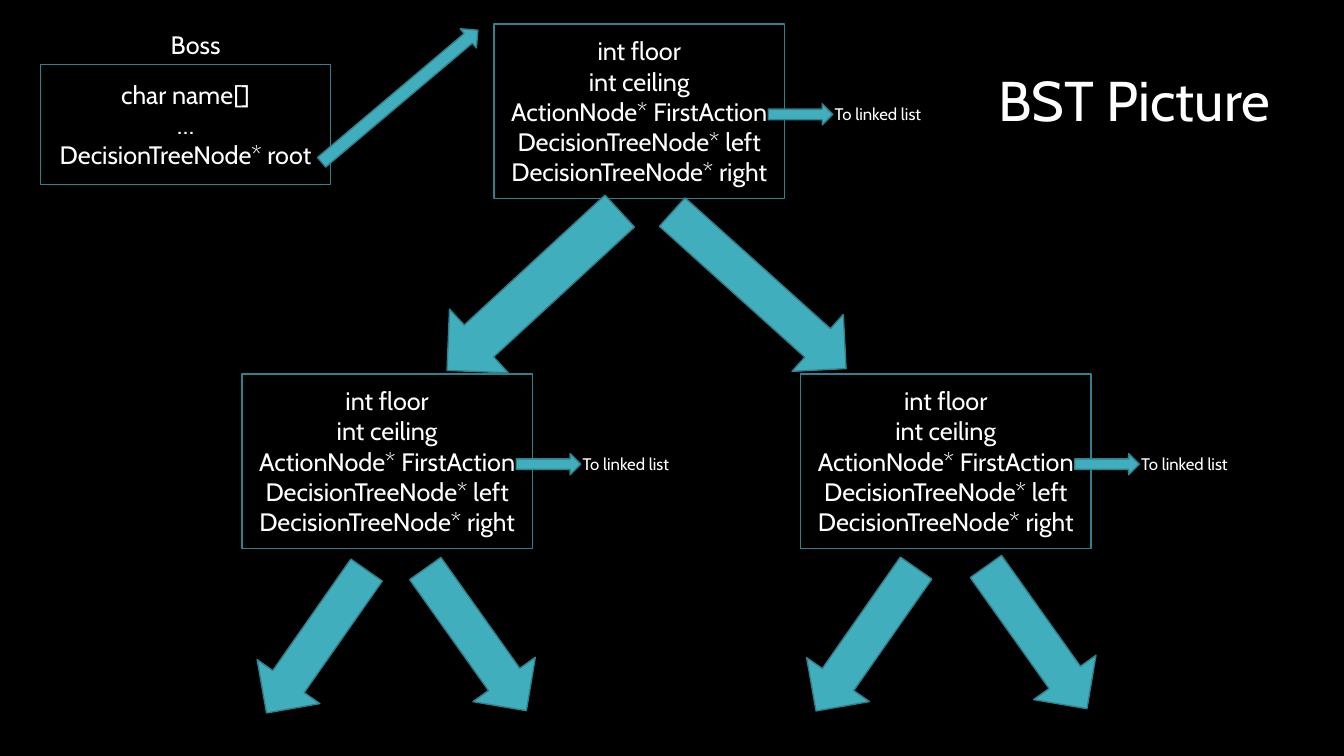
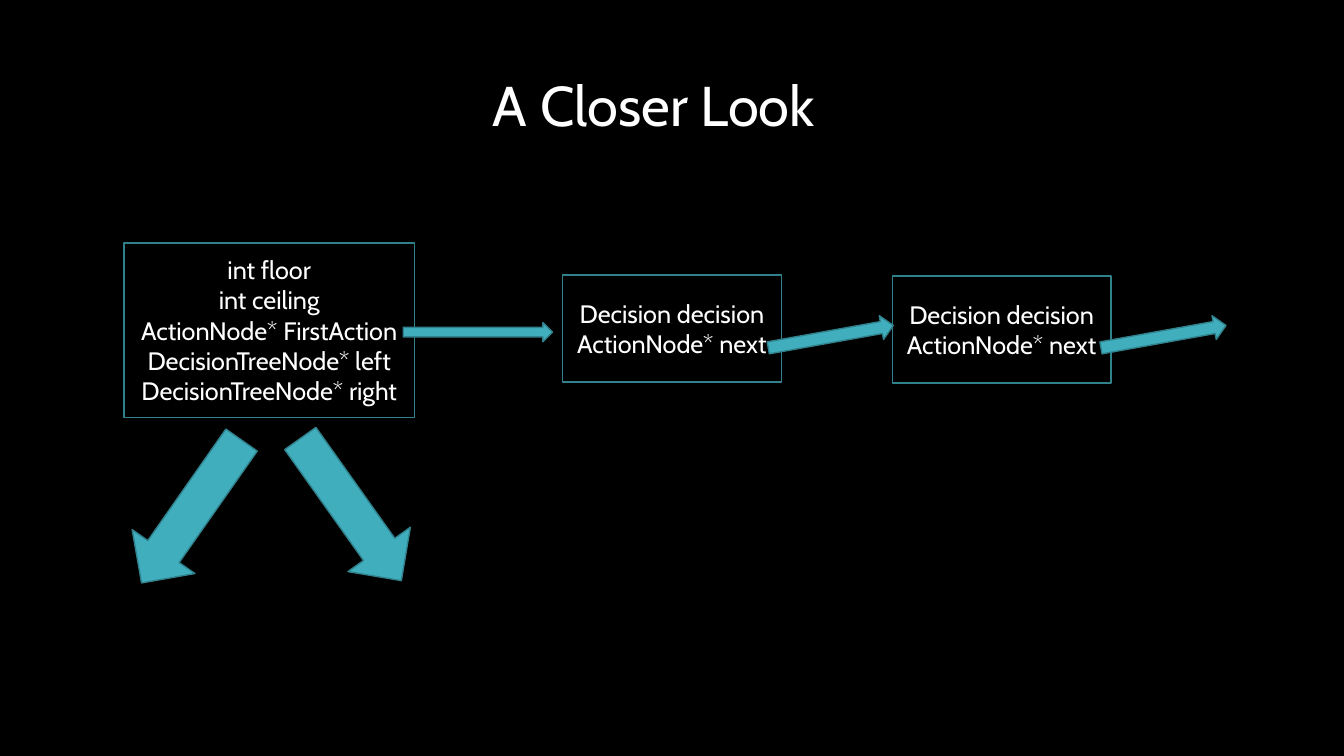
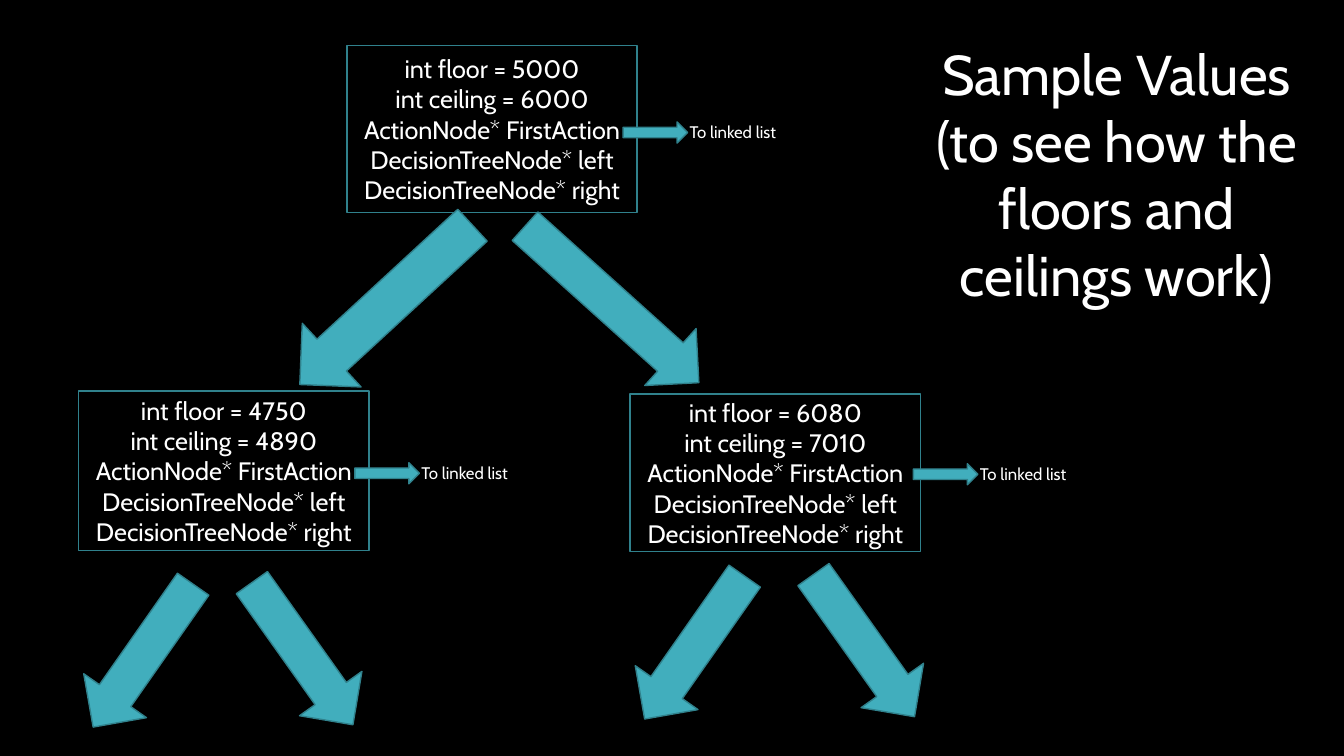
"""Build three slides on a decision tree whose nodes hold linked lists."""
from pptx import Presentation, util as u
from pptx.dml.color import RGBColor
from pptx.enum import shapes, text

FONT, WHITE, BLACK, TEAL, EDGE = "Cabin", "FFFFFF", "000000", "41AEBD", "30818C"
RECT, DOWN, RIGHT = (shapes.MSO_SHAPE.RECTANGLE, shapes.MSO_SHAPE.DOWN_ARROW,
                     shapes.MSO_SHAPE.RIGHT_ARROW)
LEFT, MID = text.PP_ALIGN.LEFT, text.PP_ALIGN.CENTER
WIDE = 2.88
LINKS = "ActionNode* FirstAction\nDecisionTreeNode* left\nDecisionTreeNode* right"
NODE = "int floor\nint ceiling\n" + LINKS
VALUES = "int floor = {}\nint ceiling = {}\n" + LINKS
ACTION = "Decision decision\nActionNode* next"

deck = [
    {
        "title": ("BST Picture", 9.68, 0.6, 3.14, 0.77),
        "notes": [("Boss", 0.98, 0.24, 1.92, 0.4)],
        "boxes": [
            ("char name[]\n…\nDecisionTreeNode* root", 0.4, 0.64, WIDE, 1.19),
            (NODE, 4.9, 0.24, WIDE, 1.73),
            (NODE, 2.4, 3.71, WIDE, 1.73),
            (NODE, 7.94, 3.71, WIDE, 1.73),
        ],
        "roots": [(4.86, 1.72)],
        "forks": [(2.76, 5.5, 1.58), (8.21, 5.48, 1.69)],
        "hooks": [(7.62, 1.03), (5.12, 4.5), (10.66, 4.5)],
        "links": [(2.95, 0.83, 2.03, 0.25, 319.8)],
    },
    {
        "title": ("A Closer Look", 4.12, 0.65, 4.73, 0.77),
        "notes": [],
        "boxes": [
            (NODE, 1.23, 2.41, WIDE, 1.73),
            (ACTION, 5.58, 2.73, 2.17, 1.06),
            (ACTION, 8.85, 2.74, 2.17, 1.06),
        ],
        "roots": [],
        "forks": [(1.52, 4.21, 1.58)],
        "hooks": [],
        "links": [
            (4, 3.2, 1.48, 0.19, 0),
            (7.61, 3.22, 1.26, 0.24, 349.8),
            (10.91, 3.22, 1.26, 0.24, 349.8),
        ],
    },
    {
        "title": ("Sample Values (to see how the floors and ceilings work)",
                  9.14, 0.34, 3.87, 2.79),
        "notes": [],
        "boxes": [
            (VALUES.format(5000, 6000), 3.44, 0.45, WIDE, 1.66),
            (VALUES.format(4750, 4890), 0.78, 3.88, WIDE, 1.58),
            (VALUES.format(6080, 7010), 6.25, 3.91, WIDE, 1.56),
        ],
        "roots": [(3.4, 1.86)],
        "forks": [(1.04, 5.64, 1.58), (6.51, 5.56, 1.68)],
        "hooks": [(6.18, 1.21), (3.52, 4.59), (9.06, 4.6)],
        "links": [],
    },
]


def draw(slide, kind, at, turn=0, fill=None):
    """Add a teal-edged shape, or a text box when kind is None."""
    place = [u.Inches(n) for n in at]
    if kind is None:
        return slide.shapes.add_textbox(*place)
    shape = slide.shapes.add_shape(kind, *place)
    shape.shadow.inherit = False
    shape.rotation = turn
    if fill:
        shape.fill.solid()
        shape.fill.fore_color.rgb = RGBColor.from_string(fill)
    else:
        shape.fill.background()
    shape.line.color.rgb = RGBColor.from_string(EDGE)
    shape.line.width = u.Pt(1)
    return shape


def write(shape, words, size=18, align=MID):
    """Put white text into a shape, one paragraph a line."""
    frame = shape.text_frame
    frame.text = words
    frame.word_wrap = True
    for para in frame.paragraphs:
        para.alignment = align
        for run in para.runs:
            run.font.name = FONT
            run.font.size = u.Pt(size)
            run.font.color.rgb = RGBColor.from_string(WHITE)


prs = Presentation()
prs.slide_width, prs.slide_height = u.Inches(13.33), u.Inches(7.5)
back = prs.slide_master.background.fill
back.solid()
back.fore_color.rgb = RGBColor.from_string(BLACK)

for page in deck:
    slide = prs.slides.add_slide(prs.slide_layouts[6])
    words, *at = page["title"]
    write(draw(slide, None, at), words, 40)
    for words, *at in page["notes"]:
        write(draw(slide, None, at), words)
    for words, *at in page["boxes"]:
        box = draw(slide, RECT, at)
        write(box, words)
        box.text_frame.vertical_anchor = text.MSO_ANCHOR.MIDDLE
    for x, y in page["roots"]:
        draw(slide, DOWN, (x, y, 0.86, 2.33), 47.3, TEAL)
        draw(slide, DOWN, (x + 2.29, y, 0.76, 2.32), 312, TEAL)
    for x, y, gap in page["forks"]:
        draw(slide, DOWN, (x, y, 0.76, 1.73), 35, TEAL)
        draw(slide, DOWN, (x + gap, y - 0.02, 0.76, 1.73), 324.6, TEAL)
    for x, y in page["hooks"]:
        draw(slide, RIGHT, (x, y, 0.64, 0.21), 0, TEAL)
        label = draw(slide, None, (x + 0.56, y - 0.05, 1.09, 0.3))
        write(label, "To linked list", 12, LEFT)
    for *at, turn in page["links"]:
        draw(slide, RIGHT, at, turn, TEAL)

prs.save("out.pptx")
